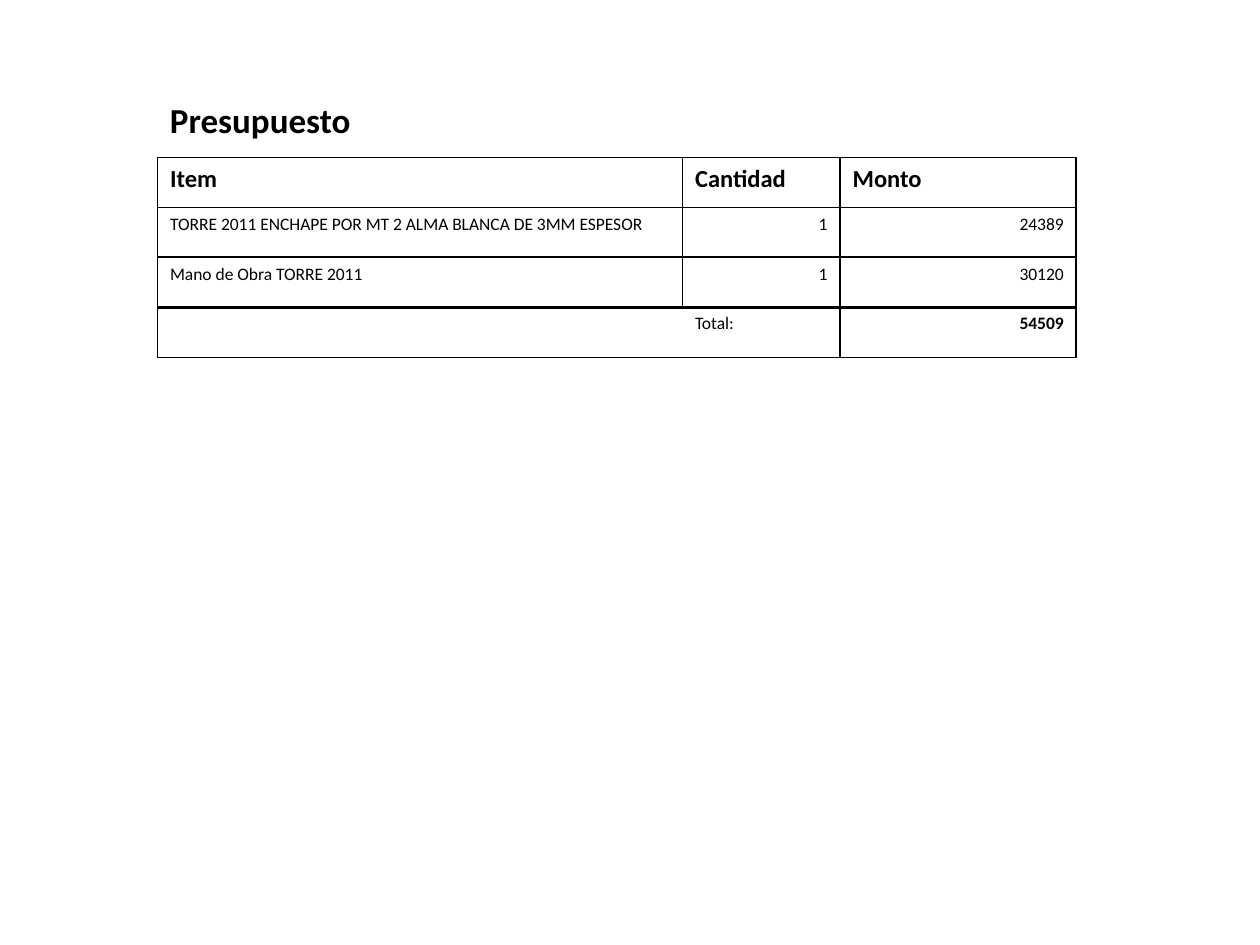
from dataclasses import dataclass

from lxml.etree import SubElement
from pptx import Presentation
from pptx.dml.color import RGBColor
from pptx.enum.text import MSO_AUTO_SIZE, PP_ALIGN
from pptx.oxml.ns import qn
from pptx.util import Emu, Pt

BLACK = RGBColor(0x00, 0x00, 0x00)
WHITE = RGBColor(0xFF, 0xFF, 0xFF)
FONT = "Calibri"
COLUMNS = (400, 120, 180)
ROW_HEIGHT = 38


@dataclass(frozen=True)
class Row:
    texts: tuple[str, str, str]
    size: int = 10
    bold: tuple[bool, bool, bool] = (False, False, False)
    right: tuple[bool, bool, bool] = (False, True, True)
    edges: tuple[str, str, str] = ("LRTB", "LRTB", "LRTB")
    bottom: int = 1
    filled: bool = True


ROWS = (
    Row(("Item", "Cantidad", "Monto"), size=14, bold=(True,) * 3, right=(False,) * 3),
    Row(("TORRE 2011 ENCHAPE POR MT 2 ALMA BLANCA DE 3MM ESPESOR", "1", "24389")),
    Row(("Mano de Obra TORRE 2011", "1", "30120"), bottom=2),
    Row(("", "Total:", "54509"), bold=(False, False, True),
        right=(False, False, True), edges=("LTB", "RTB", "LRTB"), filled=False),
)


def px(n: int) -> Emu:
    return Emu(n * 9525)


def write(tf, text: str, *, size: int, bold: bool = False, right: bool = False) -> None:
    p = tf.paragraphs[0]
    p.alignment = PP_ALIGN.RIGHT if right else PP_ALIGN.LEFT
    r = p.add_run()
    r.text = text
    r.font.name = FONT
    r.font.size = Pt(size)
    r.font.bold = bold
    r.font.color.rgb = BLACK


def set_borders(cell, edges: str, bottom: int) -> None:
    tc_pr = cell._tc.get_or_add_tcPr()
    for edge in "LRTB":
        width = Pt(bottom if edge == "B" else 1)
        ln = SubElement(tc_pr, qn(f"a:ln{edge}"), w=str(width))
        if edge in edges:
            fill = SubElement(ln, qn("a:solidFill"))
            SubElement(fill, qn("a:srgbClr"), val=str(BLACK))
        else:
            SubElement(ln, qn("a:noFill"))


def add_title(s, text: str) -> None:
    sp = s.shapes.add_textbox(px(120), px(70), px(600), px(300))
    tf = sp.text_frame
    tf.word_wrap = True
    tf.auto_size = MSO_AUTO_SIZE.SHAPE_TO_FIT_TEXT
    write(tf, text, size=20, bold=True)


def add_budget(s, rows: tuple[Row, ...]) -> None:
    frame = s.shapes.add_table(len(rows), len(COLUMNS), px(120), px(120),
                               px(sum(COLUMNS)), px(200))
    table = frame.table
    table.first_row = table.horz_banding = False
    for column, width in zip(table.columns, COLUMNS):
        column.width = px(width)
    for i, row in enumerate(rows):
        table.rows[i].height = px(ROW_HEIGHT)
        for j, text in enumerate(row.texts):
            cell = table.cell(i, j)
            write(cell.text_frame, text, size=row.size, bold=row.bold[j], right=row.right[j])
            set_borders(cell, row.edges[j], row.bottom if row.filled else 1)
            if row.filled:
                cell.fill.solid()
                cell.fill.fore_color.rgb = WHITE
            else:
                cell.fill.background()
    frame.height = px(200)


def main() -> None:
    """Build the budget slide."""
    prs = Presentation()
    prs.slide_width, prs.slide_height = px(960), px(720)
    s = prs.slides.add_slide(prs.slide_layouts[6])
    add_title(s, "Presupuesto")
    add_budget(s, ROWS)
    prs.save("out.pptx")


if __name__ == "__main__":
    main()
